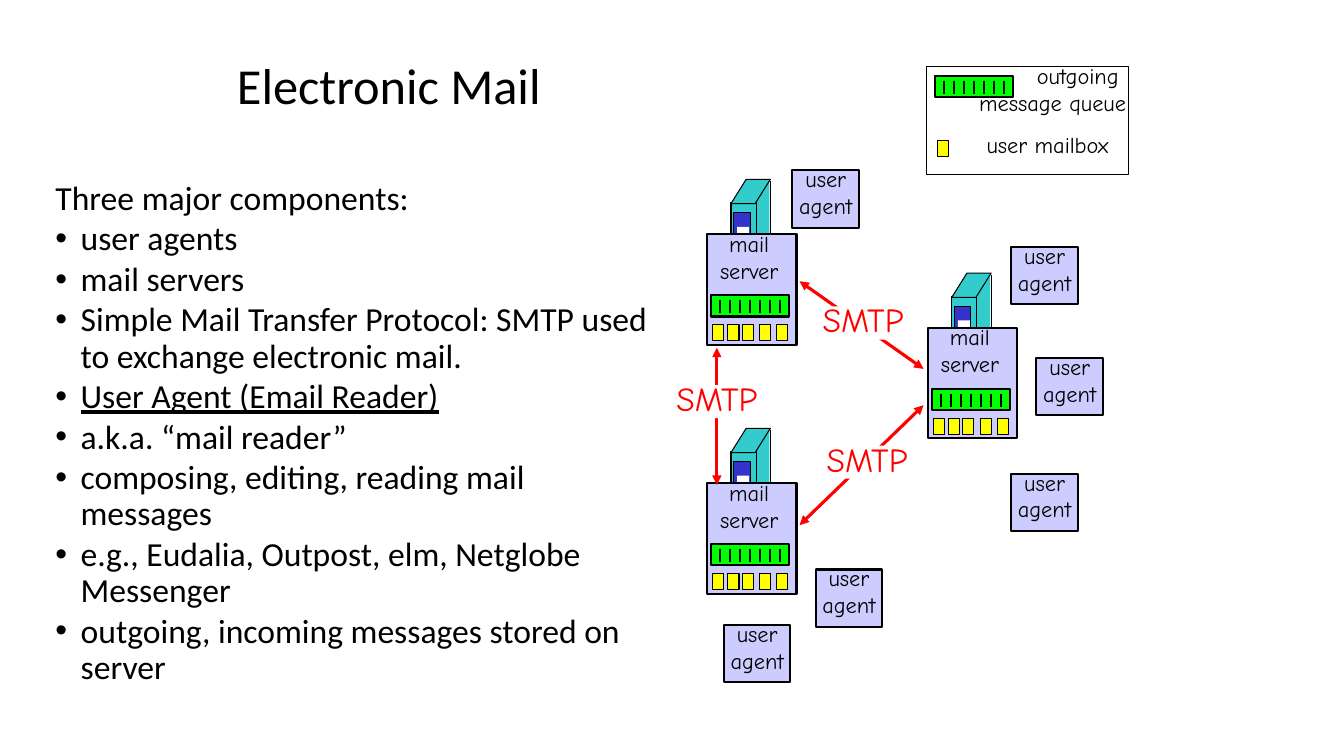
from lxml import etree
from pptx import Presentation
from pptx import util as u
from pptx.dml.color import RGBColor
from pptx.enum import shapes, text
from pptx.oxml.ns import qn

# Content
TITLE = "Electronic Mail"
INTRO = "Three major components:"
BULLETS = [
    "user agents",
    "mail servers",
    "Simple Mail Transfer Protocol: SMTP used to exchange electronic mail.",
    "User Agent (Email Reader)",
    "a.k.a. “mail reader”",
    "composing, editing, reading mail messages",
    "e.g., Eudalia, Outpost, elm, Netglobe Messenger",
    "outgoing, incoming messages stored on server",
]
UNDERLINED = "User Agent (Email Reader)"
SERVERS = [(7.01, 2.32), (9.2, 3.25), (7.01, 4.79)]
AGENTS = [(7.86, 1.69), (10.03, 2.45), (10.28, 3.55), (10.03, 4.7),
          (8.09, 5.65), (7.18, 6.2)]
LINKS = [  # arrow start, arrow end, label corner
    ((7.93, 2.79), (9.16, 3.66), (8.08, 3.04)),
    ((7.93, 5.21), (9.16, 4.02), (8.12, 4.42)),
    ((7.11, 4.81), (7.11, 3.45), (6.63, 3.82)),
]
MAILBOX_OFFSETS = [0.06, 0.21, 0.35, 0.52, 0.69]
TICKS, TICK_PITCH = 7, 0.1
COLORS = {"black": "000000", "white": "FFFFFF", "red": "FF0000",
          "queue": "00FF00", "mailbox": "FFFF00", "panel": "CCCCFF",
          "tower": "33CCCC", "door": "3333CC"}
BODY_FONT, DRAWING_FONT = "Calibri", "Comic Neue"


def rgb(name):
    return RGBColor.from_string(COLORS[name])


def style_run(r, font, size, color="black", **extra):
    values = {"name": font, "size": u.Pt(size), **extra}
    for key, value in values.items():
        setattr(r.font, key, value)
    r.font.color.rgb = rgb(color)


def paint(sp, fill=None, line=None):
    sp.shadow.inherit = False
    if fill:
        sp.fill.solid()
        sp.fill.fore_color.rgb = rgb(fill)
    else:
        sp.fill.background()
    if line:
        sp.line.color.rgb = rgb("black")
        sp.line.width = u.Pt(line)
    else:
        sp.line.fill.background()


def add_rect(parent, x, y, w, h, fill=None, line=None):
    sp = parent.add_shape(shapes.MSO_SHAPE.RECTANGLE, *map(u.Inches, (x, y, w, h)))
    paint(sp, fill, line)


def add_line(parent, start, end, width, color="black", arrows=False):
    sp = parent.add_connector(shapes.MSO_CONNECTOR.STRAIGHT,
                              *map(u.Inches, (*start, *end)))
    sp.line.color.rgb = rgb(color)
    sp.line.width = u.Pt(width)
    if arrows:
        ln = sp.line._get_or_add_ln()
        for tag in ("a:headEnd", "a:tailEnd"):
            etree.SubElement(ln, qn(tag), type="triangle")
    etree.SubElement(sp._element.spPr, qn("a:effectLst"))


def add_label(parent, x, y, w, h, lines, size=16, color="black", align="CENTER"):
    tf = parent.add_textbox(*map(u.Inches, (x, y, w, h))).text_frame
    frame = {"margin_left": 0, "margin_right": 0, "margin_top": 0,
             "margin_bottom": 0, "word_wrap": False,
             "auto_size": text.MSO_AUTO_SIZE.SHAPE_TO_FIT_TEXT}
    for key, value in frame.items():
        setattr(tf, key, value)
    for i, line in enumerate(lines):
        p = tf.add_paragraph() if i else tf.paragraphs[0]
        p.alignment = getattr(text.PP_ALIGN, align)
        r = p.add_run()
        r.text = line
        style_run(r, DRAWING_FONT, size, color)


def add_queue(parent, x, y):
    add_rect(parent, x, y, 0.78, 0.21, "queue", 1.5)
    for i in range(TICKS):
        tick = x + 0.09 + i * TICK_PITCH
        add_line(parent, (tick, y + 0.05), (tick, y + 0.18), 1.5)


def add_mailbox(parent, x, y):
    add_rect(parent, x, y, 0.11, 0.16, "mailbox", 0.75)


def add_server(parent, x, y):
    # Tower behind the panel
    tx, ty = x + 0.24, y - 0.54
    add_rect(parent, tx + 0.2, ty + 0.01, 0.18, 0.78, "tower")
    add_rect(parent, tx, ty + 0.23, 0.25, 0.78, "tower", 0.75)
    top = [(0.15, 0), (0, 0.24), (0.24, 0.24), (0.39, 0)]
    points = [(u.Inches(tx + dx), u.Inches(ty + dy)) for dx, dy in top]
    builder = parent.build_freeform(*points[0])
    builder.add_line_segments(points[1:], close=True)
    paint(builder.convert_to_shape(), "tower", 0.75)
    add_line(parent, (tx + 0.39, ty + 0.02), (tx + 0.39, ty + 0.79), 0.75)
    add_rect(parent, tx + 0.03, ty + 0.33, 0.16, 0.45, "door", 0.75)
    add_rect(parent, tx + 0.06, ty + 0.47, 0.12, 0.16, "white")
    # Panel with queue and mailboxes
    add_rect(parent, x, y, 0.89, 1.1, "panel", 1.5)
    add_label(parent, x + 0.08, y - 0.04, 0.68, 0.54, ["mail", "server"])
    add_queue(parent, x + 0.04, y + 0.61)
    for dx in MAILBOX_OFFSETS:
        add_mailbox(parent, x + dx, y + 0.9)


def place(sp, x, y, w, h):
    for key, value in zip(("left", "top", "width", "height"), (x, y, w, h)):
        setattr(sp, key, u.Inches(value))
    sp.text_frame.auto_size = text.MSO_AUTO_SIZE.NONE
    sp.text_frame.word_wrap = True


def add_title_and_body(s):
    title, body = s.placeholders
    place(title, 2.25, 0.25, 8.5, 1.25)
    title.text_frame.vertical_anchor = text.MSO_ANCHOR.MIDDLE
    p = title.text_frame.paragraphs[0]
    p.alignment, p.line_spacing = text.PP_ALIGN.LEFT, 0.9
    r = p.add_run()
    r.text = TITLE
    style_run(r, BODY_FONT, 36)

    place(body, 0.45, 1.75, 6.1, 5.08)
    tf = body.text_frame
    for i, line in enumerate([INTRO, *BULLETS]):
        p = tf.add_paragraph() if i else tf.paragraphs[0]
        pPr = p._p.get_or_add_pPr()
        indent = u.Inches(0.25)
        pPr.set("marL", str(indent))
        pPr.set("indent", str(-indent))
        if i:
            etree.SubElement(pPr, qn("a:buFont"), typeface="Arial")
            etree.SubElement(pPr, qn("a:buChar"), char="•")
        else:
            etree.SubElement(pPr, qn("a:buNone"))
        p.line_spacing, p.space_before = 0.9, u.Pt(3 if i else 0)
        r = p.add_run()
        r.text = line
        style_run(r, BODY_FONT, 24, underline=line == UNDERLINED)


def main():
    prs = Presentation()
    prs.slide_width, prs.slide_height = u.Inches(13.33), u.Inches(7.5)
    s = prs.slides.add_slide(prs.slide_layouts[1])
    add_title_and_body(s)

    # Legend
    add_rect(s.shapes, 9.19, 0.66, 2, 1.07, line=0.75)
    legend = s.shapes.add_group_shape().shapes
    add_queue(legend, 9.27, 0.75)
    add_label(legend, 9.63, 0.62, 1.54, 0.54, ["outgoing ", "message queue"],
              align="RIGHT")
    add_mailbox(legend, 9.3, 1.39)
    add_label(legend, 9.73, 1.3, 1.32, 0.27, ["user mailbox"])

    # Mail servers and user agents
    for x, y in SERVERS:
        add_server(s.shapes.add_group_shape().shapes, x, y)
    for x, y in AGENTS:
        agent = s.shapes.add_group_shape().shapes
        add_rect(agent, x, y, 0.66, 0.57, "panel", 1.5)
        add_label(agent, x + 0.04, y - 0.05, 0.58, 0.54, ["user", "agent"])

    # SMTP links
    for start, end, (x, y) in LINKS:
        add_line(s.shapes, start, end, 2.25, "red", arrows=True)
        label = s.shapes.add_group_shape().shapes
        add_rect(label, x, y, 0.94, 0.33, "white")
        add_label(label, x + 0.01, y - 0.07, 0.94, 0.4, ["SMTP"], 24, "red")

    prs.save("out.pptx")


if __name__ == "__main__":
    main()
